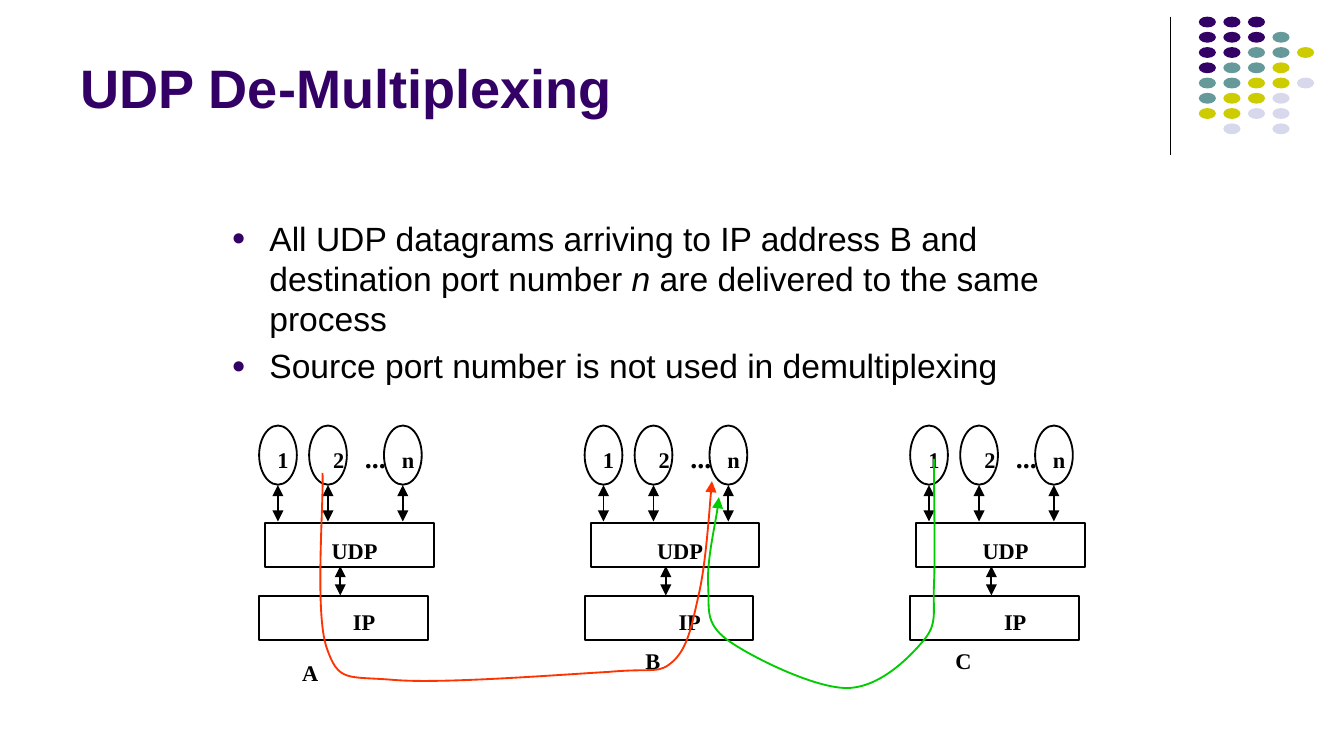
"""Build the UDP de-multiplexing slide."""
from lxml import etree
from pptx import Presentation
from pptx.dml.color import RGBColor
from pptx.enum import shapes, text
from pptx.oxml.ns import qn
from pptx.util import Pt

THEME = {
    "sans": "Arial", "serif": "Times New Roman",
    "title": 29, "body": 18, "dots": 15, "label": 12,
    "ink": "000000", "red": "FF3300", "green": "00CC00",
    "P": "330066", "T": "669999", "Y": "CCCC00", "L": "D8D8EC",
}
TITLE = "UDP De-Multiplexing"
BODY = [
    [("All UDP datagrams arriving to IP address B and destination port number ", False),
     ("n", True), (" are delivered to the same process", False)],
    [("Source port number is not used in demultiplexing", False)],
]
MOTIF = ["PPP", "PPPT", "PPTTY", "PTTY", "TTYYL", "TYYL", "YYLL", ".L.L"]
HOSTS = [("A", 154.8, 349.6), ("B", 338.6, 343), ("C", 504.7, 343)]
PORTS = [("1", 0, 2.7), ("2", 26.8, 32.6), ("n", 66.9, 69.4)]
LAYERS = [("UDP", 3.2, 280.1, 31.7, 284.4), ("IP", 0, 319.2, 43.2, 322.2)]
FLOWS = [
    ("red", (172.8, 253.4), [
        (173.5, 269.3, 168.5, 328.3, 175, 347),
        (181.4, 365.8, 185.8, 362.2, 211, 364.3),
        (236.2, 366.5, 301, 361.4, 326.2, 360),
        (350.6, 357.8, 352.8, 361.4, 360.7, 354.2),
        (368.6, 347, 370.8, 334.1, 374.4, 318.2),
        (378, 302.4, 380.2, 270.7, 381.4, 257.8)]),
    ("green", (500.4, 249.1), [
        (500.4, 246.2, 500.4, 242.6, 500.4, 253.4),
        (500.4, 264.2, 501.1, 298.1, 500.4, 313.2),
        (499.7, 328.3, 502.6, 334.1, 494.6, 343.4),
        (486.7, 352.8, 470.9, 368.6, 453.6, 368.6),
        (436.3, 368.6, 402.5, 352.1, 389.5, 342.7),
        (377.3, 333.4, 380.2, 326.2, 379.4, 313.2),
        (378.7, 300.2, 384.5, 275.8, 385.2, 266.4)]),
]
OVAL, RECT = shapes.MSO_SHAPE.OVAL, shapes.MSO_SHAPE.RECTANGLE

deck = Presentation()
deck.slide_width, deck.slide_height = Pt(720), Pt(405)
slide = deck.slides.add_slide(deck.slide_layouts[6])


def tint(key):
    return RGBColor.from_string(THEME[key])


def write(paras, x, y, w, h, size="label", font="serif", color="ink", bold=True,
          wrap=False, anchor=text.MSO_ANCHOR.TOP, bullet=False):
    frame = slide.shapes.add_textbox(Pt(x), Pt(y), Pt(w), Pt(h)).text_frame
    frame.word_wrap, frame.vertical_anchor = wrap, anchor
    if isinstance(paras, str):
        paras = [[(paras, False)]]
    for i, runs in enumerate(paras):
        para = frame.add_paragraph() if i else frame.paragraphs[0]
        if bullet:
            mark(para)
            if i:
                para.space_before = Pt(3.6)
        for words, slant in runs:
            run = para.add_run()
            run.text = words
            face = run.font
            face.name, face.size = THEME[font], Pt(THEME[size])
            face.bold, face.italic = bold, slant
            face.color.rgb = tint(color)


def mark(para):
    props = para._p.get_or_add_pPr()
    props.set("marL", str(Pt(20.2)))
    props.set("indent", str(-Pt(20.2)))
    hue = etree.SubElement(props, qn("a:buClr"))
    etree.SubElement(hue, qn("a:srgbClr"), val=THEME["P"])
    etree.SubElement(props, qn("a:buSzPct"), val="70000")
    etree.SubElement(props, qn("a:buFont"), typeface=THEME["sans"])
    etree.SubElement(props, qn("a:buChar"), char="●")


def draw(kind, x, y, w, h, fill=None):
    shape = slide.shapes.add_shape(kind, Pt(x), Pt(y), Pt(w), Pt(h))
    shape.shadow.inherit = False
    if fill:
        shape.fill.solid()
        shape.fill.fore_color.rgb = tint(fill)
        shape.line.fill.background()
    else:
        shape.fill.background()
        stroke(shape)


def stroke(shape, color="ink", width=1, ends=()):
    shape.line.color.rgb = tint(color)
    shape.line.width = Pt(width)
    for end in ends:
        etree.SubElement(shape.line._get_or_add_ln(), qn(f"a:{end}"), type="triangle")


def rule(x, top, low, **style):
    line = slide.shapes.add_connector(
        shapes.MSO_CONNECTOR.STRAIGHT, Pt(x), Pt(top), Pt(x), Pt(low))
    stroke(line, **style)
    etree.SubElement(line._element.spPr, qn("a:effectLst"))


def bend(shape):
    legs = list(shape._element.iter(qn("a:lnTo")))
    track = legs[0].getparent()
    for i in range(0, len(legs), 3):
        curve = etree.SubElement(track, qn("a:cubicBezTo"))
        for leg in legs[i:i + 3]:
            curve.append(leg[0])
            track.remove(leg)


def flow(color, start, curves):
    pen = slide.shapes.build_freeform(Pt(start[0]), Pt(start[1]))
    spots = [(Pt(c[i]), Pt(c[i + 1])) for c in curves for i in (0, 2, 4)]
    pen.add_line_segments(spots, close=False)
    shape = pen.convert_to_shape()
    bend(shape)
    shape.shadow.inherit = False
    shape.fill.background()
    stroke(shape, color, ends=["tailEnd"])


def host(x):
    both = ["headEnd", "tailEnd"]
    for name, dx, tx in PORTS:
        draw(OVAL, x + dx, 228, 20.2, 31.7)
        rule(x + dx + 10.1, 259.9, 279.4, ends=both)
        write(name, x + tx, 235.4, 21, 21.6)
    write("...", x + 49.6, 232.4, 26, 25, size="dots")
    for name, dx, top, tx, ty in LAYERS:
        draw(RECT, x + dx, top, 90.4, 23.9)
        write(name, x + tx, ty, 40, 21.6)
    rule(x + 43.5, 303.3, 319, ends=both)


def main():
    rule(627, 8.9, 82.8, width=0.75)
    for row, keys in enumerate(MOTIF):
        for col, key in enumerate(keys):
            if key in THEME:
                draw(OVAL, 642.2 + 13.15 * col, 8.9 + 8.17 * row, 9.2, 5.8, fill=key)
    write(TITLE, 36, 7.2, 594, 60.5, size="title", font="sans", color="P",
          wrap=True, anchor=text.MSO_ANCHOR.BOTTOM)
    write(BODY, 117, 113, 486, 112.3, size="body", font="sans", bold=False,
          wrap=True, bullet=True)
    for i in range(len(HOSTS)):
        host(138.8 + 174.4 * i)
    for item in FLOWS:
        flow(*item)
    for name, x, y in HOSTS:
        write(name, x, y, 23, 21.6)
    deck.save("out.pptx")


if __name__ == "__main__":
    main()
